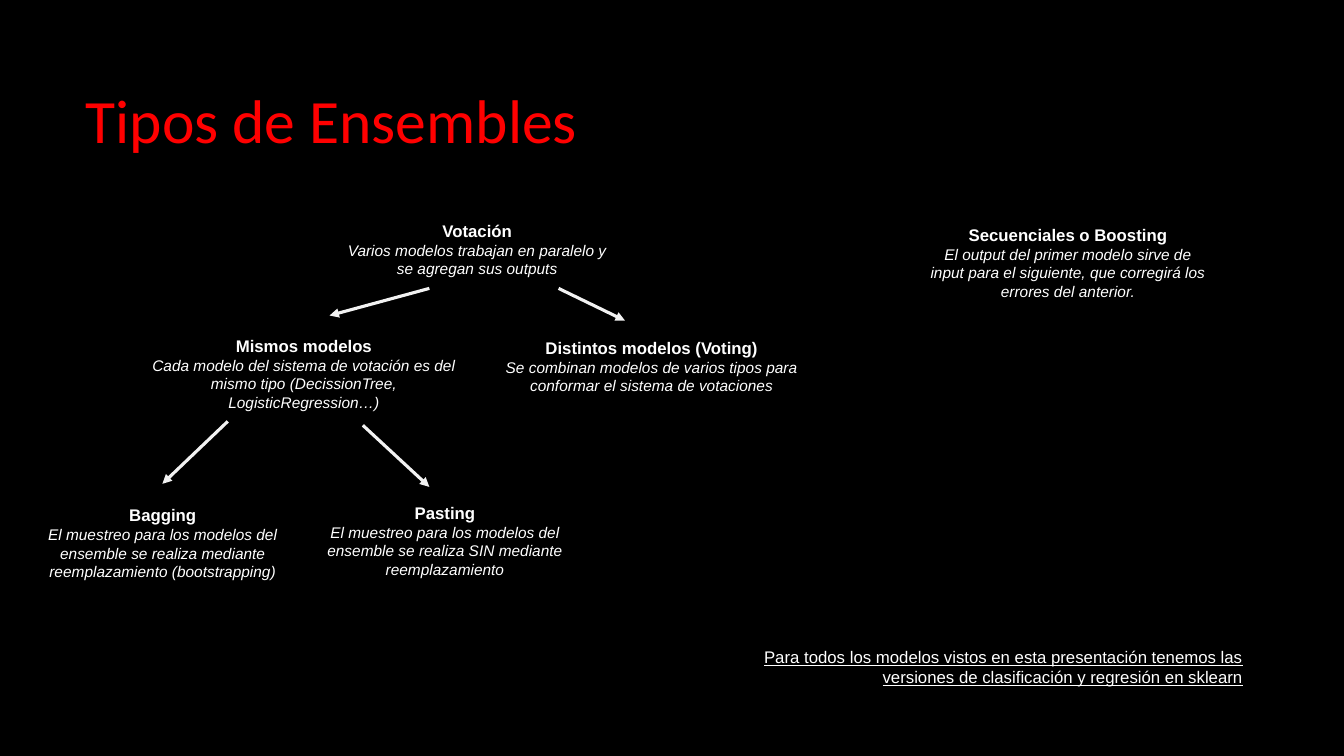
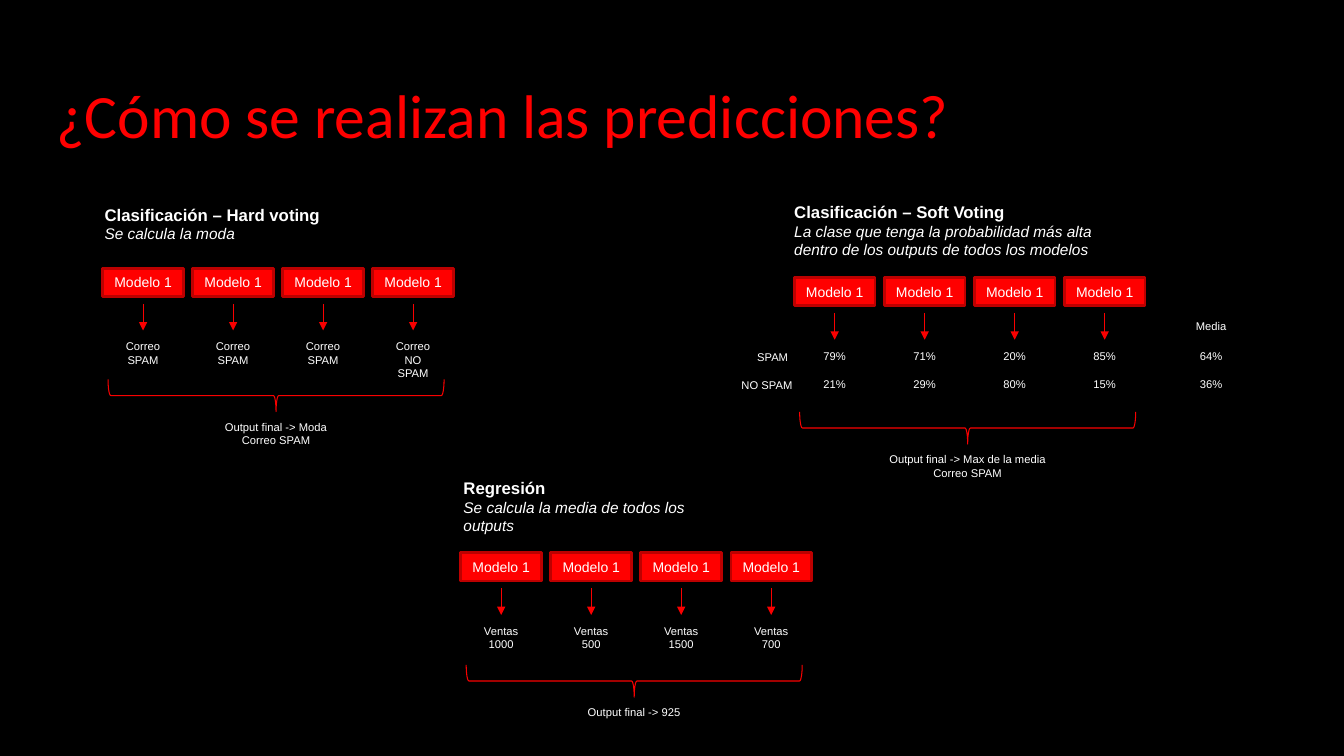
"""Builds two slides about ensemble types and how their predictions are made."""
import lxml.etree
import pptx
import pptx.dml.color
import pptx.enum.shapes
import pptx.enum.text
import pptx.oxml.ns
import pptx.util

Pt = pptx.util.Pt
ALIGN = pptx.enum.text.PP_ALIGN
ANCHOR = pptx.enum.text.MSO_ANCHOR
SHAPE = pptx.enum.shapes.MSO_SHAPE

COLORS = {
    "background": "000000",
    "title": "FF0000",
    "text": "FFFFFF",
    "tree": "F2F2F2",
    "model": "FF0000",
    "border": "BD0000",
    "flow": "F90000",
}
FORMATS = {
    "title": {"name": "Calibri", "size": Pt(44)},
    "head": {"name": "Arial", "size": Pt(12), "bold": True},
    "detail": {"name": "Arial", "size": Pt(11), "italic": True},
    "note": {"name": "Arial", "size": Pt(12), "underline": True},
    "model": {"name": "Arial", "size": Pt(10)},
    "label": {"name": "Arial", "size": Pt(8)},
}
MODEL_W, MODEL_H, MODEL_STEP = 57.6, 20.2, 64.3
LABEL_W, LABEL_Y, ROW_STEP = 44, 47.5, 20
BRACE_W, BRACE_H, BRACE_X = 240, 23, 123.8


def rgb(name):
    """Returns the named colour."""
    return pptx.dml.color.RGBColor.from_string(COLORS[name])


def write(tf, lines, align, color="text"):
    """Fills a text frame with one paragraph per (text, format name) pair."""
    tf.word_wrap = True
    for i, (text, style) in enumerate(lines):
        p = tf.add_paragraph() if i else tf.paragraphs[0]
        p.alignment = align
        r = p.add_run()
        r.text = text
        for key, value in FORMATS[style].items():
            setattr(r.font, key, value)
        r.font.color.rgb = rgb(color)


def add_text(s, box, lines, align=ALIGN.CENTER):
    """Adds a text box at left, top, width, height."""
    sp = s.shapes.add_textbox(*map(Pt, box))
    write(sp.text_frame, lines, align)


def add_label(s, center, top, text, width=LABEL_W):
    """Adds small text centred on a horizontal position."""
    lines = [(line, "label") for line in text.split("\n")]
    add_text(s, (center - width / 2, top, width, 7.2 + 9.6 * len(lines)), lines)


def add_arrow(s, x1, y1, x2, y2, color, width):
    """Adds a straight arrow."""
    line = s.shapes.add_connector(
        pptx.enum.shapes.MSO_CONNECTOR.STRAIGHT, *map(Pt, (x1, y1, x2, y2)))
    line.line.color.rgb = rgb(color)
    line.line.width = Pt(width)
    qn = pptx.oxml.ns.qn
    lxml.etree.SubElement(line.line._get_or_add_ln(), qn("a:tailEnd"), type="triangle")
    lxml.etree.SubElement(line._element.spPr, qn("a:effectLst"))


def add_shape(s, kind, box, line_color, line_width, fill=None):
    """Adds a preset shape without shadow."""
    sp = s.shapes.add_shape(kind, *map(Pt, box))
    sp.shadow.inherit = False
    sp.line.color.rgb = rgb(line_color)
    sp.line.width = Pt(line_width)
    if fill:
        sp.fill.solid()
        sp.fill.fore_color.rgb = rgb(fill)
    else:
        sp.fill.background()
    return sp


def add_titled_slide(prs, title, box):
    """Adds a title-only slide with its title in the given box."""
    s = prs.slides.add_slide(prs.slide_layouts[5])
    sp = s.shapes.title
    for key, value in zip(("left", "top", "width", "height"), box):
        setattr(sp, key, Pt(value))
    tf = sp.text_frame
    tf.auto_size = pptx.enum.text.MSO_AUTO_SIZE.NONE
    tf.vertical_anchor = ANCHOR.MIDDLE
    write(tf, [(title, "title")], ALIGN.LEFT, "title")
    tf.paragraphs[0].line_spacing = 0.9
    return s


def add_model_row(s, left, top):
    """Adds four model boxes, each with an arrow below, and returns their centres."""
    centers = [left + MODEL_W / 2 + i * MODEL_STEP for i in range(4)]
    for center in centers:
        box = (center - MODEL_W / 2, top, MODEL_W, MODEL_H)
        sp = add_shape(s, SHAPE.RECTANGLE, box, "border", 2, "model")
        sp.text_frame.vertical_anchor = ANCHOR.MIDDLE
        write(sp.text_frame, [("Modelo 1", "model")], ALIGN.CENTER)
        add_arrow(s, center, top + 25.5, center, top + 44.5, "flow", 0.75)
    return centers


def add_prediction(s, left, top, heading, rows, brace_y, output):
    """Adds a heading, models, output rows, a brace and the final output."""
    dx, dy, width, head, detail = heading
    add_text(s, (left + dx, top + dy, width, -dy - 10),
             [(head, "head"), (detail, "detail")], ALIGN.LEFT)
    centers = add_model_row(s, left, top)
    for i, row in enumerate(rows):
        for center, text in zip(centers, row):
            add_label(s, center, top + LABEL_Y + i * ROW_STEP, text)
    middle, y = left + BRACE_X, top + brace_y
    brace = add_shape(s, SHAPE.LEFT_BRACE,
                      (middle - BRACE_H / 2, y - BRACE_W / 2, BRACE_H, BRACE_W),
                      "flow", 0.75)
    brace.rotation = 270
    add_label(s, middle, y + 14, output, 130)


def add_averages(s, left, top):
    """Adds the class names and the mean column around the soft voting rows."""
    mean_x = left + 297.7
    add_label(s, mean_x, top + 26, "Media")
    for i, (name, center, width, mean) in enumerate(
            [("SPAM", -15.5, 44, "64%"), ("NO SPAM", -19.5, 52, "36%")]):
        y = top + LABEL_Y + i * ROW_STEP
        add_label(s, left + center, y + 1, name, width)
        add_label(s, mean_x, y, mean)


def build_types(prs):
    """Builds the tree of ensemble types."""
    s = add_titled_slide(prs, "Tipos de Ensembles", (54, 45.4, 601, 85))
    nodes = [
        (235.4, 154, 211, "Votación",
         "Varios modelos trabajan en paralelo y se agregan sus outputs"),
        (92.9, 236.4, 248.4, "Mismos modelos",
         "Cada modelo del sistema de votación es del mismo tipo "
         "(DecissionTree, LogisticRegression…)"),
        (341.3, 237.6, 248.4, "Distintos modelos (Voting)",
         "Se combinan modelos de varios tipos para conformar el sistema de votaciones"),
        (15.1, 357.2, 202.3, "Bagging",
         "El muestreo para los modelos del ensemble se realiza mediante "
         "reemplazamiento (bootstrapping)"),
        (216.7, 355.7, 202.3, "Pasting",
         "El muestreo para los modelos del ensemble se realiza SIN mediante reemplazamiento"),
        (657.4, 157, 211, "Secuenciales o Boosting",
         "El output del primer modelo sirve de input para el siguiente, "
         "que corregirá los errores del anterior."),
    ]
    for left, top, width, head, detail in nodes:
        add_text(s, (left, top, width, 62), [(head, "head"), (detail, "detail")])
    for ends in [(306.7, 206, 235.4, 225.4), (399, 206, 446.4, 229),
                 (259.2, 303.8, 306.7, 347.8), (162.7, 301, 116, 345.6)]:
        add_arrow(s, *ends, "tree", 2.25)
    add_text(s, (492.5, 458.6, 402.5, 36),
             [("Para todos los modelos vistos en esta presentación tenemos las "
               "versiones de clasificación y regresión en sklearn", "note")], ALIGN.RIGHT)


def build_predictions(prs):
    """Builds the three ways of combining predictions."""
    s = add_titled_slide(prs, "¿Cómo se realizan las predicciones?", (33, 42.5, 697, 85))
    add_prediction(
        s, 73.4, 191.5,
        (-5.8, -49, 211, "Clasificación – Hard voting", "Se calcula la moda"),
        [["Correo SPAM"] * 3 + ["Correo NO SPAM"]],
        91, "Output final -> Moda\nCorreo SPAM")
    soft = (567.4, 198.2)
    add_prediction(
        s, *soft,
        (-7.2, -57.8, 240, "Clasificación – Soft Voting",
         "La clase que tenga la probabilidad más alta dentro de los outputs "
         "de todos los modelos"),
        [["79%", "71%", "20%", "85%"], ["21%", "29%", "80%", "15%"]],
        107.5, "Output final -> Max de la media\nCorreo SPAM")
    add_averages(s, *soft)
    add_prediction(
        s, 329.2, 394.8,
        (-5.2, -57.1, 211, "Regresión", "Se calcula la media de todos los outputs"),
        [[f"Ventas\n{sales}" for sales in (1000, 500, 1500, 700)]],
        91.6, "Output final -> 925")


def main():
    """Builds and saves the presentation."""
    prs = pptx.Presentation()
    prs.slide_width, prs.slide_height = Pt(960), Pt(540)
    fill = prs.slide_master.background.fill
    fill.solid()
    fill.fore_color.rgb = rgb("background")
    build_types(prs)
    build_predictions(prs)
    prs.save("out.pptx")


if __name__ == "__main__":
    main()
